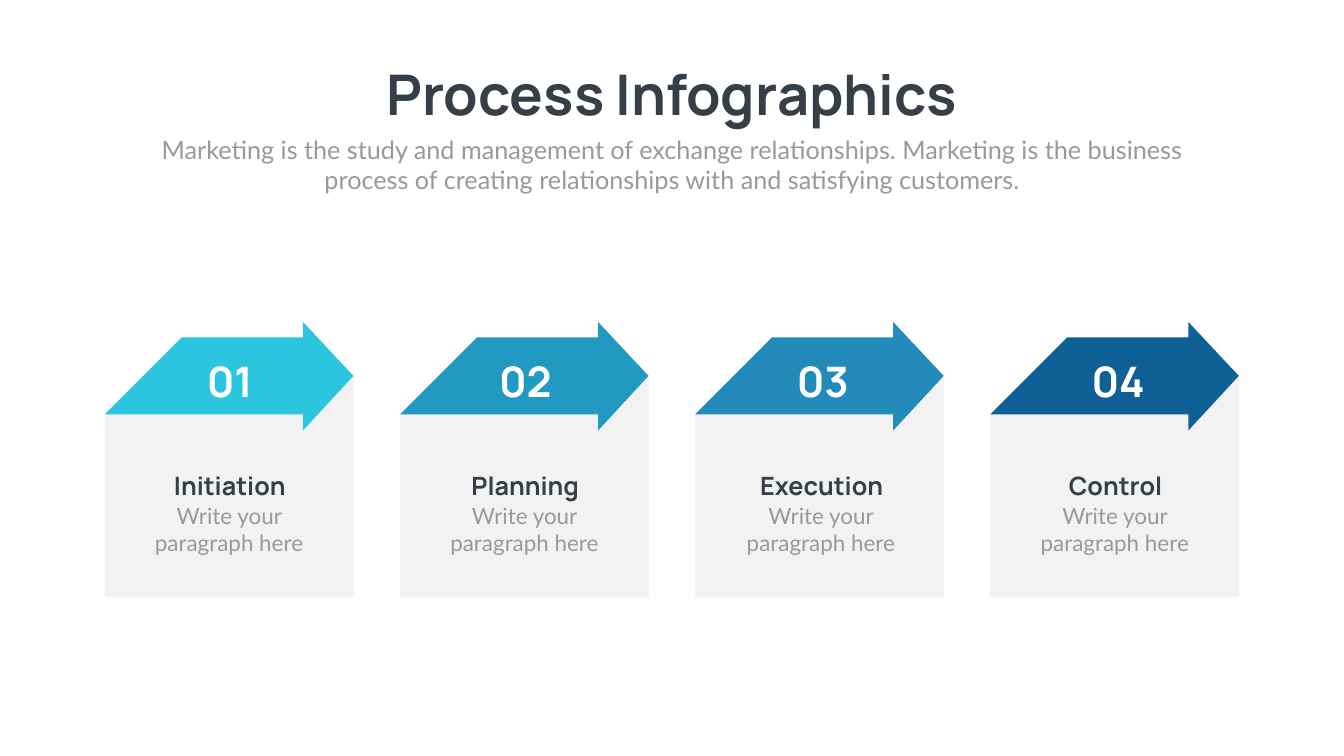
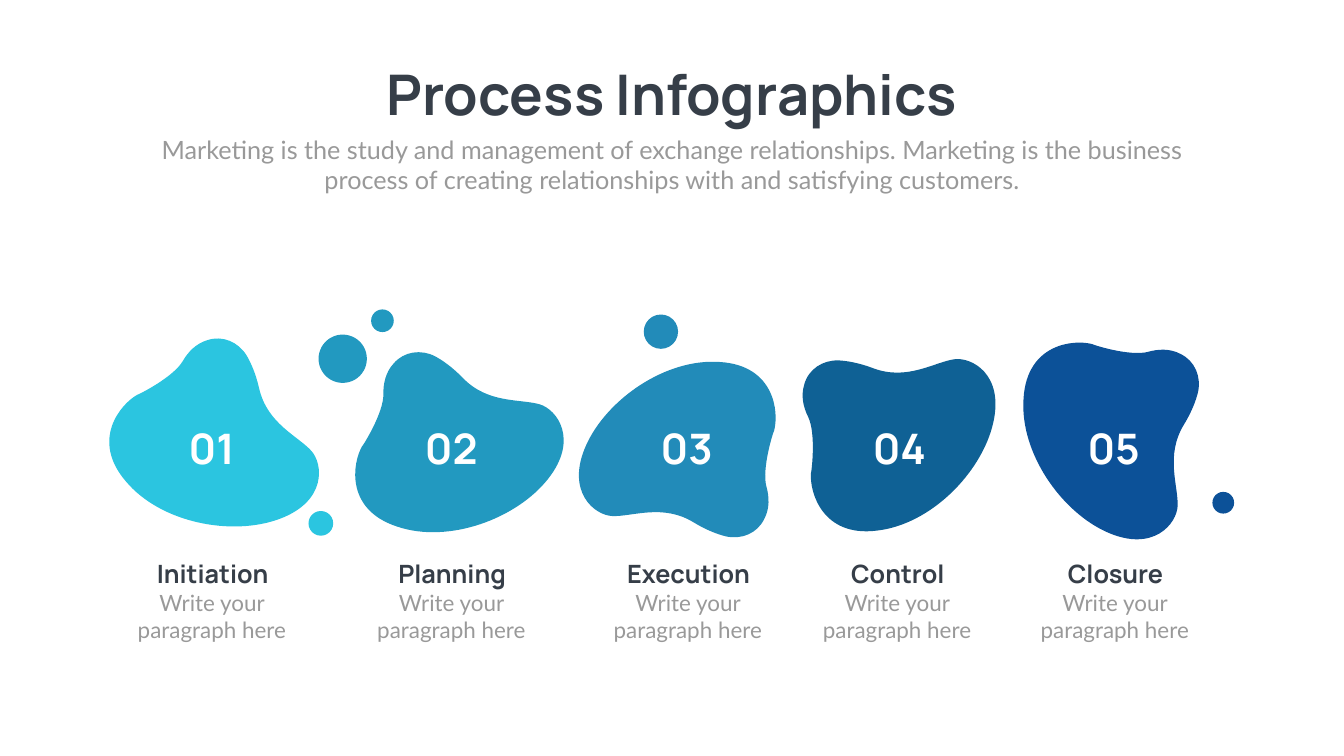
from math import cos, radians, sin

from lxml.etree import SubElement
from pptx import Presentation
from pptx.dml.color import RGBColor
from pptx.enum.shapes import MSO_SHAPE
from pptx.enum.text import MSO_ANCHOR, MSO_AUTO_SIZE, PP_ALIGN
from pptx.oxml.ns import qn
from pptx.util import Pt

# Shared look
SLIDE_SIZE = (1919.52, 1080)
TITLE_ONLY = 5
HEADING_FONT, BODY_FONT = "Manrope", "Lato"
DARK, GREY, WHITE, CARD = "363E48", "999999", "FFFFFF", "F2F2F2"
BLUES = ["2BC5E0", "2299C0", "228BB9", "0F6195", "0C5198"]

# Shared wording
TITLE = "Process Infographics"
SUBTITLE = ("Marketing is the study and management of exchange relationships. "
            "Marketing is the business process of creating relationships with "
            "and satisfying customers.")
STEPS = ["Initiation", "Planning", "Execution", "Control", "Closure"]
STEP_BODY = "Write your paragraph here"

# Arrow cards: outlines relative to the card's box
CARD_LEFT, CARD_TOP, CARD_PITCH = 149.76, 460, 421.5
CARD_OUTLINE = [(0, 132), (355.5, 74), (355.5, 393), (0, 393)]
ARROW_OUTLINE = [(283, 22), (110, 22), (0, 132), (283, 132),
                 (283, 155), (355, 77), (283, 0)]
CARD_NUMBER_LEFTS = [260.6, 682.6, 1107.4, 1529.3]
CARD_CAPTION_LEFTS = [205.2, 627.1, 1050.5, 1470.2]

# One blob, turned about its start point: two control points and an end each
BLOB_START = (179, 13)
BLOB_CURVES = [
    ((193, 9), (210, 8), (225, 16)),
    ((246, 26), (255, 49), (250, 71)),
    ((247, 83), (241, 99), (230, 117)),
    ((203, 161), (222, 204), (221, 233)),
    ((220, 258), (187, 300), (121, 271)),
    ((55, 242), (-5, 157), (1, 79)),
    ((6, 1), (73, -5), (99, 2)),
    ((100, 3), (153, 20), BLOB_START),
]
# Place of the start point, angle, number left, caption left
BLOBS = [
    ((261, 516), -44.3, 234.7, 180.7),
    ((547.6, 563.3), -75.5, 576.7, 522.7),
    ((1094.6, 695.2), 90, 913, 860.4),
    ((1154.2, 595.4), -100.7, 1216.8, 1159.2),
    ((1639.9, 502.6), 0, 1522.8, 1470.2),
]
# Step index, left, top, diameter
BUBBLES = [(0, 440.6, 730, 35.3), (1, 455, 478, 69), (1, 530, 442, 32.4),
           (2, 919.4, 449.3, 49), (4, 1731.6, 702.7, 31)]


def rgb(color):
    return RGBColor.from_string(color)


def paint(shape, color):
    shape.shadow.inherit = False
    shape.fill.solid()
    shape.fill.fore_color.rgb = rgb(color)
    shape.line.fill.background()


def write_text(shape, text, *, size, font, color, bold=False, wrap=True):
    frame = shape.text_frame
    frame.word_wrap = wrap
    frame.auto_size = MSO_AUTO_SIZE.SHAPE_TO_FIT_TEXT
    frame.vertical_anchor = MSO_ANCHOR.TOP
    paragraph = frame.paragraphs[0]
    paragraph.alignment = PP_ALIGN.CENTER
    run = paragraph.add_run()
    run.text = text
    run.font.size = Pt(size)
    run.font.name = font
    run.font.bold = bold
    run.font.color.rgb = rgb(color)


def add_text(slide, text, left, top, width, height, **text_format):
    box = slide.shapes.add_textbox(Pt(left), Pt(top), Pt(width), Pt(height))
    write_text(box, text, **text_format)


def add_outline(slide, left, top, points, color):
    corners = [(Pt(left + x), Pt(top + y)) for x, y in points]
    builder = slide.shapes.build_freeform(*corners[0], scale=1.0)
    builder.add_line_segments(corners[1:], close=True)
    shape = builder.convert_to_shape()
    paint(shape, color)
    return shape


def curve_point(start, curve, t):
    points = (start, *curve)
    weights = ((1 - t) ** 3, 3 * t * (1 - t) ** 2, 3 * t ** 2 * (1 - t), t ** 3)
    return tuple(sum(w * point[axis] for w, point in zip(weights, points))
                 for axis in (0, 1))


def turn(point, angle):
    x, y = (value - origin for value, origin in zip(point, BLOB_START))
    cosine, sine = cos(radians(angle)), sin(radians(angle))
    return x * cosine - y * sine, x * sine + y * cosine


def add_blob(slide, left, top, angle, color):
    # Sampled points give the shape its true bounding box
    start = turn(BLOB_START, angle)
    curves = [[turn(point, angle) for point in curve] for curve in BLOB_CURVES]
    samples, last = [start], start
    for curve in curves:
        samples += [curve_point(last, curve, i / 16) for i in range(1, 17)]
        last = curve[-1]
    shape = add_outline(slide, left, top, samples, color)

    # Smooth curves then take the place of the sampled segments
    outline = next(shape._element.iter(qn("a:path")))
    for segment in list(outline):
        outline.remove(segment)
    commands = [("a:moveTo", [start])]
    commands += [("a:cubicBezTo", curve) for curve in curves]
    for tag, points in commands:
        command = SubElement(outline, qn(tag))
        for x, y in points:
            SubElement(command, qn("a:pt"), x=str(Pt(left + x) - shape.left),
                       y=str(Pt(top + y) - shape.top))
    SubElement(outline, qn("a:close"))


def add_header(slide):
    title = slide.shapes.title
    title.left, title.top = Pt(516.24), Pt(82)
    title.width, title.height = Pt(887), Pt(104.4)
    write_text(title, TITLE, size=80, font=HEADING_FONT, color=DARK,
               bold=True, wrap=False)
    add_text(slide, SUBTITLE, 210.24, 188, 1499, 94.3,
             size=36, font=BODY_FONT, color=GREY)


def add_number(slide, number, left, top):
    add_text(slide, f"{number:02d}", left, top, 135.4, 80,
             size=60, font=HEADING_FONT, color=WHITE, bold=True)


def add_caption(slide, heading, left, top):
    add_text(slide, heading, left + 2, top, 242, 51,
             size=36, font=HEADING_FONT, color=DARK, bold=True)
    add_text(slide, STEP_BODY, left, top + 44.6, 244, 85,
             size=32, font=BODY_FONT, color=GREY)


def add_step_slide(presentation):
    slide = presentation.slides.add_slide(presentation.slide_layouts[TITLE_ONLY])
    add_header(slide)
    return slide


def build_arrow_slide(presentation):
    slide = add_step_slide(presentation)
    columns = zip(STEPS, BLUES, CARD_NUMBER_LEFTS, CARD_CAPTION_LEFTS)
    for index, (step, color, number_left, caption_left) in enumerate(columns):
        left = CARD_LEFT + index * CARD_PITCH
        add_outline(slide, left, CARD_TOP, CARD_OUTLINE, CARD)
        add_outline(slide, left, CARD_TOP, ARROW_OUTLINE, color)
        add_number(slide, index + 1, number_left, CARD_TOP + 44)
        add_caption(slide, step, caption_left, CARD_TOP + 208.9)


def build_blob_slide(presentation):
    slide = add_step_slide(presentation)
    for index, left, top, diameter in BUBBLES:
        bubble = slide.shapes.add_shape(MSO_SHAPE.OVAL, Pt(left), Pt(top),
                                        Pt(diameter), Pt(diameter))
        paint(bubble, BLUES[index])
    for number, (step, color, blob) in enumerate(zip(STEPS, BLUES, BLOBS), 1):
        (left, top), angle, number_left, caption_left = blob
        add_blob(slide, left, top, angle, color)
        add_number(slide, number, number_left, 599.8)
        add_caption(slide, step, caption_left, 793.4)


def main():
    presentation = Presentation()
    presentation.slide_width, presentation.slide_height = map(Pt, SLIDE_SIZE)
    build_arrow_slide(presentation)
    build_blob_slide(presentation)
    presentation.save("out.pptx")


if __name__ == "__main__":
    main()
